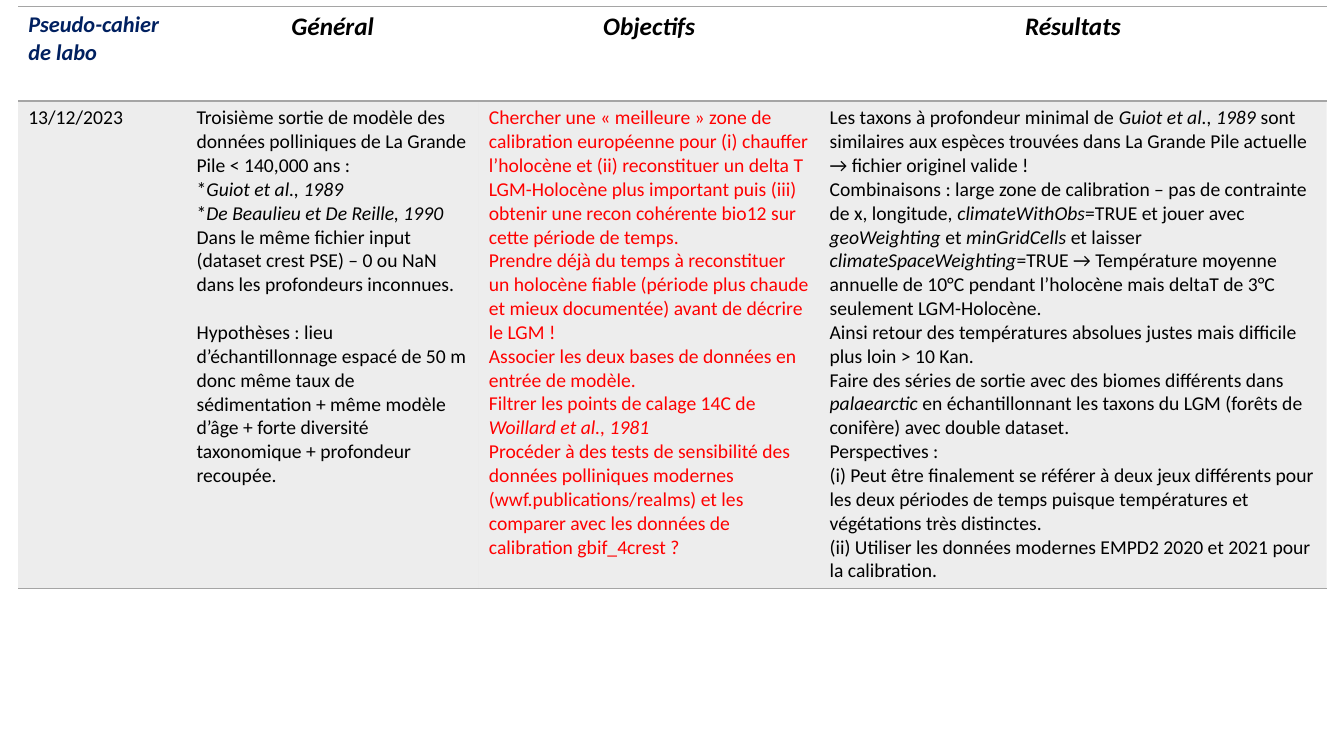
from dataclasses import dataclass

from lxml.etree import SubElement
from pptx import Presentation
from pptx.dml.color import RGBColor
from pptx.enum.text import PP_ALIGN
from pptx.oxml import parse_xml
from pptx.oxml.ns import nsdecls, qn
from pptx.util import Pt


@dataclass(frozen=True)
class Theme:
    face: str = "Calibri"
    navy: str = "002060"
    black: str = "000000"
    red: str = "FF0000"
    grey: str = "A5A5A5"
    tint: int = 20  # opacity of the body fill, in percent
    label: int = 16
    head: int = 18
    body: int = 14
    rule: int = 1
    plain: str = "{2D5ABB26-0587-4C30-8999-92F81FD0307C}"  # no style, no grid


class Deck:
    def __init__(self, theme, width, height):
        self.theme = theme
        self.prs = Presentation()
        self.prs.slide_width, self.prs.slide_height = Pt(width), Pt(height)
        self.slide = self.prs.slides.add_slide(self.prs.slide_layouts[6])

    def table(self, left, top, widths, heights):
        frame = self.slide.shapes.add_table(
            len(heights), len(widths), Pt(left), Pt(top),
            Pt(sum(widths)), Pt(sum(heights)))
        table = frame.table
        table.first_row = table.horz_banding = False
        table._tbl.tblPr.find(qn("a:tableStyleId")).text = self.theme.plain
        for col, width in zip(table.columns, widths):
            col.width = Pt(width)
        for row, height in zip(table.rows, heights):
            row.height = Pt(height)
        return table

    def text(self, cell, paras, size, color, strong=False, align=PP_ALIGN.LEFT, gaps=()):
        """Parts between bars are italic; gaps lists paragraphs set one line lower."""
        frame = cell.text_frame
        for i, para in enumerate(paras):
            p = frame.paragraphs[0] if i == 0 else frame.add_paragraph()
            p.alignment = align
            if i in gaps:
                p.space_before = Pt(size * 1.22)
            font = p.font
            font.name, font.size, font.bold = self.theme.face, Pt(size), strong
            font.color.rgb = RGBColor.from_string(color)
            if strong:
                font.italic = True
            for k, part in enumerate(para.split("|")):
                if part:
                    run = p.add_run()
                    run.text = part
                    if k % 2:
                        run.font.italic = True

    def shade(self, cell):
        cell.fill.solid()
        cell.fill.fore_color.rgb = RGBColor.from_string(self.theme.grey)
        color = cell._tc.tcPr.find(".//" + qn("a:srgbClr"))
        SubElement(color, qn("a:alpha")).set("val", str(self.theme.tint * 1000))

    def rules(self, cell, *sides):
        for i, side in enumerate(sides):
            cell._tc.get_or_add_tcPr().insert(i, parse_xml(
                f'<a:ln{side} {nsdecls("a")} w="{Pt(self.theme.rule)}"><a:solidFill>'
                f'<a:srgbClr val="{self.theme.grey}"/></a:solidFill></a:ln{side}>'))

    def save(self):
        self.prs.save("out.pptx")


HEADS = ["Pseudo-cahier de labo", "Général", "Objectifs", "Résultats"]
DATE = ["13/12/2023"]
SCOPE = [
    "Troisième sortie de modèle des données polliniques de La Grande Pile < 140,000 ans :",
    "*|Guiot et al., 1989|",
    "*|De Beaulieu et De Reille, 1990|",
    "Dans le même fichier input (dataset crest PSE) – 0 ou NaN dans les profondeurs inconnues.",
    "Hypothèses : lieu d’échantillonnage espacé de 50 m donc même taux de sédimentation "
    "+ même modèle d’âge + forte diversité taxonomique + profondeur recoupée.",
]
GOALS = [
    "Chercher une « meilleure » zone de calibration européenne pour (i) chauffer l’holocène "
    "et (ii) reconstituer un delta T LGM-Holocène plus important puis (iii) obtenir une "
    "recon cohérente bio12 sur cette période de temps.",
    "Prendre déjà du temps à reconstituer un holocène fiable (période plus chaude et mieux "
    "documentée) avant de décrire le LGM !",
    "Associer les deux bases de données en entrée de modèle.",
    "Filtrer les points de calage 14C de |Woillard et al., 1981|",
    "Procéder à des tests de sensibilité des données polliniques modernes "
    "(wwf.publications/realms) et les comparer avec les données de calibration gbif_4crest ?",
]
FINDS = [
    "Les taxons à profondeur minimal de |Guiot et al., 1989 |sont similaires aux espèces "
    "trouvées dans La Grande Pile actuelle → fichier originel valide !",
    "Combinaisons : large zone de calibration – pas de contrainte de x, longitude, "
    "|climateWithObs|=TRUE et jouer avec |geoWeighting |et |minGridCells| et laisser "
    "|climateSpaceWeighting|=TRUE → Température moyenne annuelle de 10°C pendant l’holocène "
    "mais deltaT de 3°C seulement LGM-Holocène.",
    "Ainsi retour des températures absolues justes mais difficile plus loin > 10 Kan.",
    "Faire des séries de sortie avec des biomes différents dans |palaearctic| en "
    "échantillonnant les taxons du LGM (forêts de conifère) avec double dataset.",
    "Perspectives :",
    "(i) Peut être finalement se référer à deux jeux différents pour les deux périodes de "
    "temps puisque températures et végétations très distinctes.",
    "(ii) Utiliser les données modernes EMPD2 2020 et 2021 pour la calibration.",
]


def main():
    theme = Theme()
    deck = Deck(theme, 960, 540)
    table = deck.table(13, 4.5, [120.24, 208.8, 243.36, 362.16], [67.7, 348])

    # Header row
    for i, head in enumerate(HEADS):
        cell = table.cell(0, i)
        cell.fill.background()
        deck.rules(cell, "T", "B")
        if i == 0:
            deck.text(cell, [head], theme.label, theme.navy, True)
        else:
            deck.text(cell, [head], theme.head, theme.black, True, PP_ALIGN.CENTER)

    # Log entry
    for i, paras in enumerate([DATE, SCOPE, GOALS, FINDS]):
        cell = table.cell(1, i)
        deck.shade(cell)
        deck.rules(cell, "T", "B")
        deck.text(cell, paras, theme.body, theme.red if paras is GOALS else theme.black,
                  gaps=(4,) if paras is SCOPE else ())

    deck.save()


if __name__ == "__main__":
    main()
